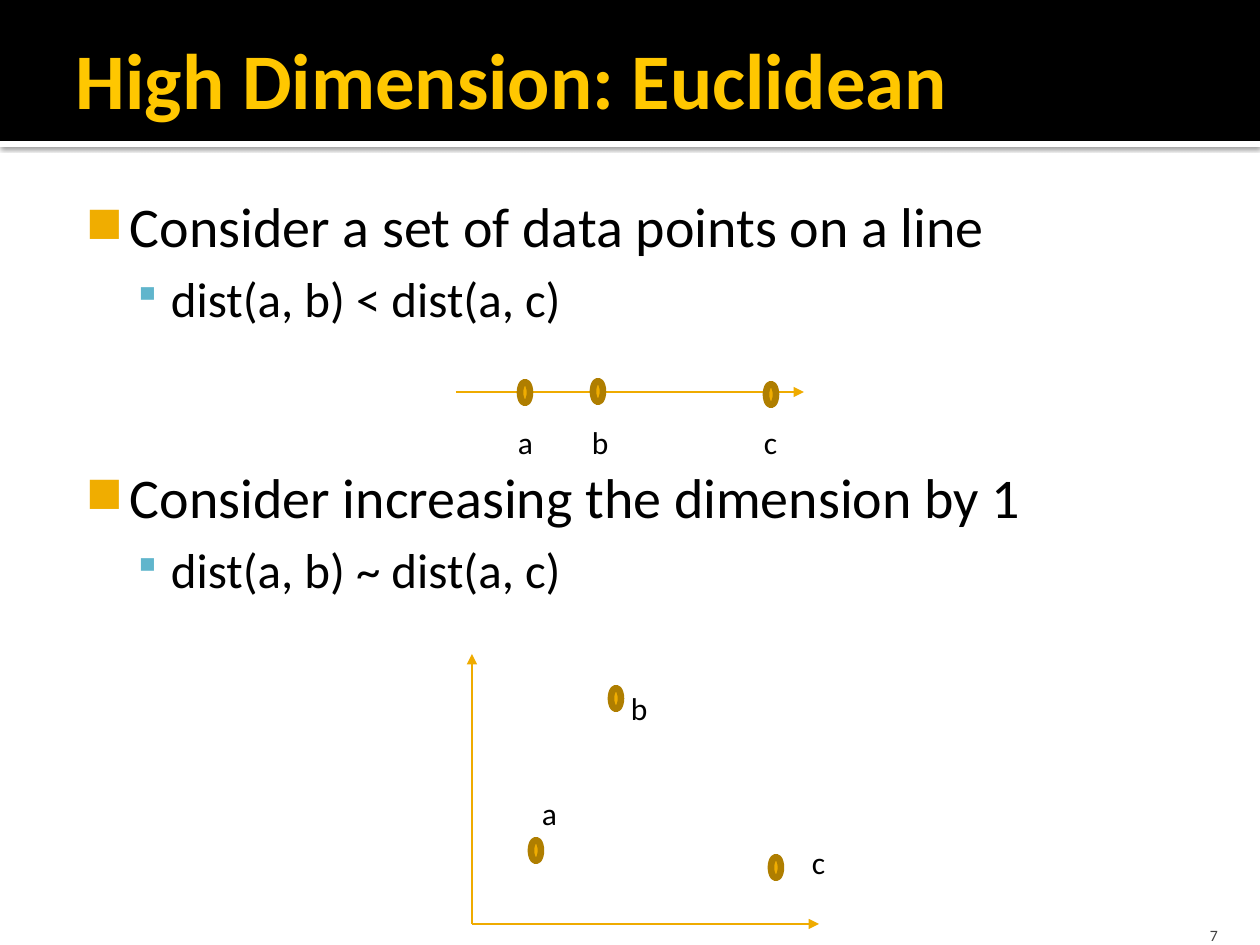
import pptx
import pptx.dml.color
import pptx.enum.shapes
import pptx.enum.text
import pptx.oxml
import pptx.oxml.ns
import pptx.util
from dataclasses import dataclass
from typing import NamedTuple

EMU_PER_PX = 914400 / 126
SHAPE = pptx.enum.shapes.MSO_SHAPE
ANCHOR = pptx.enum.text.MSO_ANCHOR
ALIGN = pptx.enum.text.PP_ALIGN


@dataclass(frozen=True)
class Theme:
    font: str = "Calibri"
    black: str = "000000"
    white: str = "FFFFFF"
    title: str = "FFC700"
    gold: str = "F0AD00"
    axis: str = "EFAB00"
    outline: str = "AF7E00"
    blue: str = "60B5CC"
    grey: str = "414141"
    title_size: int = 45
    label_size: int = 18
    number_size: int = 9
    axis_width: float = 0.75
    outline_width: float = 3.78


THEME = Theme()


class Box(NamedTuple):
    left: int
    top: int
    width: int
    height: int


class Level(NamedTuple):
    size: int
    indent: int
    hanging: int
    bullet: str
    color: str


class Item(NamedTuple):
    text: str
    level: int
    space_before: float


class DataPoint(NamedTuple):
    name: str
    dot: tuple[int, int]
    label: tuple[int, int]


class Axis(NamedTuple):
    start: tuple[int, int]
    end: tuple[int, int]


LEVELS = [
    Level(32, 60, 44, "◼", THEME.gold),
    Level(28, 101, 38, "▪", THEME.blue),
]
ITEMS = [
    Item("Consider a set of data points on a line", 0, 0),
    Item("dist(a, b) < dist(a, c)", 1, 5.6),
    Item("Consider increasing the dimension by 1", 0, 77),
    Item("dist(a, b) ~ dist(a, c)", 1, 5.6),
]
AXES = [
    Axis((456, 392), (804, 392)),
    Axis((472, 924), (819, 924)),
    Axis((472, 924), (472, 654)),
]
POINTS = [
    # on the line
    DataPoint("a", (520, 382), (505, 417)),
    DataPoint("b", (593, 381), (579, 417)),
    DataPoint("c", (766, 384), (751, 417)),
    # in the plane
    DataPoint("a", (531, 840), (529, 788)),
    DataPoint("b", (611, 688), (618, 683)),
    DataPoint("c", (771, 857), (799, 837)),
]


def px(length: int) -> int:
    return round(length * EMU_PER_PX)


def rgb(color: str) -> pptx.dml.color.RGBColor:
    return pptx.dml.color.RGBColor.from_string(color)


def add_xml(parent, xml: str) -> None:
    namespace = pptx.oxml.ns.nsdecls("a")
    parent.append(pptx.oxml.parse_xml(xml.replace("NS", namespace, 1)))


def add_shape(page, kind, box: Box, fill: str):
    shape = page.shapes.add_shape(kind, *map(px, box))
    shape.shadow.inherit = False
    shape.fill.solid()
    shape.fill.fore_color.rgb = rgb(fill)
    shape.line.fill.background()
    return shape


def add_frame(page, box: Box, insets: Box, anchor=ANCHOR.TOP, wrap=True):
    frame = page.shapes.add_textbox(*map(px, box)).text_frame
    frame.word_wrap = wrap
    frame.vertical_anchor = anchor
    frame.margin_left, frame.margin_top, frame.margin_right, frame.margin_bottom = map(px, insets)
    return frame


def style(para, size: int, color: str, bold: bool = False) -> None:
    for span in para.runs:
        span.font.name = THEME.font
        span.font.size = pptx.util.Pt(size)
        span.font.bold = bold
        span.font.color.rgb = rgb(color)


def add_bands(page) -> None:
    stripe = add_shape(page, SHAPE.RECTANGLE, Box(0, 141, 1260, 6), THEME.white)
    effects = stripe._element.spPr.find(pptx.oxml.ns.qn("a:effectLst"))
    add_xml(effects, '<a:outerShdw NS blurRad="31750" dist="10160" dir="5400000" algn="tl" '
            f'rotWithShape="0"><a:srgbClr val="{THEME.black}"><a:alpha val="60000"/>'
            '</a:srgbClr></a:outerShdw>')
    add_shape(page, SHAPE.RECTANGLE, Box(0, 0, 1260, 141), THEME.black)


def add_items(page) -> None:
    frame = add_frame(page, Box(62, 179, 1134, 665), Box(8, 13, 13, 6))
    for index, item in enumerate(ITEMS):
        level = LEVELS[item.level]
        para = frame.add_paragraph() if index else frame.paragraphs[0]
        para.text = item.text
        para.level = item.level
        if index:
            para.space_before = pptx.util.Pt(item.space_before)
        properties = para._p.get_or_add_pPr()
        properties.set("marL", str(px(level.indent)))
        properties.set("indent", str(-px(level.hanging)))
        add_xml(properties, f'<a:buClr NS><a:srgbClr val="{level.color}"/></a:buClr>')
        add_xml(properties, '<a:buSzPct NS val="80000"/>')
        add_xml(properties, f'<a:buChar NS char="{level.bullet}"/>')
        style(para, level.size, THEME.black)


def add_axis(page, axis: Axis) -> None:
    line = page.shapes.add_connector(
        pptx.enum.shapes.MSO_CONNECTOR.STRAIGHT, *map(px, axis.start + axis.end))
    line.line.color.rgb = rgb(THEME.axis)
    line.line.width = pptx.util.Pt(THEME.axis_width)
    add_xml(line.line._get_or_add_ln(), '<a:tailEnd NS type="triangle"/>')
    add_xml(line._element.spPr, "<a:effectLst NS/>")


def add_point(page, point: DataPoint) -> None:
    dot = add_shape(page, SHAPE.OVAL, Box(*point.dot, 10, 21), THEME.gold)
    dot.line.color.rgb = rgb(THEME.outline)
    dot.line.width = pptx.util.Pt(THEME.outline_width)
    frame = add_frame(page, Box(*point.label, 40, 50), Box(13, 6, 13, 6), wrap=False)
    frame.text = point.name
    style(frame.paragraphs[0], THEME.label_size, THEME.black)


def main() -> None:
    deck = pptx.Presentation()
    deck.slide_width, deck.slide_height = px(1260), px(945)
    page = deck.slides.add_slide(deck.slide_layouts[6])

    # Header
    add_bands(page)
    title = add_frame(page, Box(63, 10, 1134, 136), Box(13, 6, 6, 6), ANCHOR.MIDDLE)
    title.text = "High Dimension: Euclidean"
    style(title.paragraphs[0], THEME.title_size, THEME.title, bold=True)

    # Bullets and diagrams
    add_items(page)
    for axis in AXES:
        add_axis(page, axis)
    for point in POINTS:
        add_point(page, point)

    # Page number
    number = add_frame(page, Box(1130, 907, 101, 38), Box(13, 6, 13, 0), ANCHOR.BOTTOM)
    number.text = "7"
    number.paragraphs[0].alignment = ALIGN.RIGHT
    style(number.paragraphs[0], THEME.number_size, THEME.grey)

    deck.save("out.pptx")


if __name__ == "__main__":
    main()
